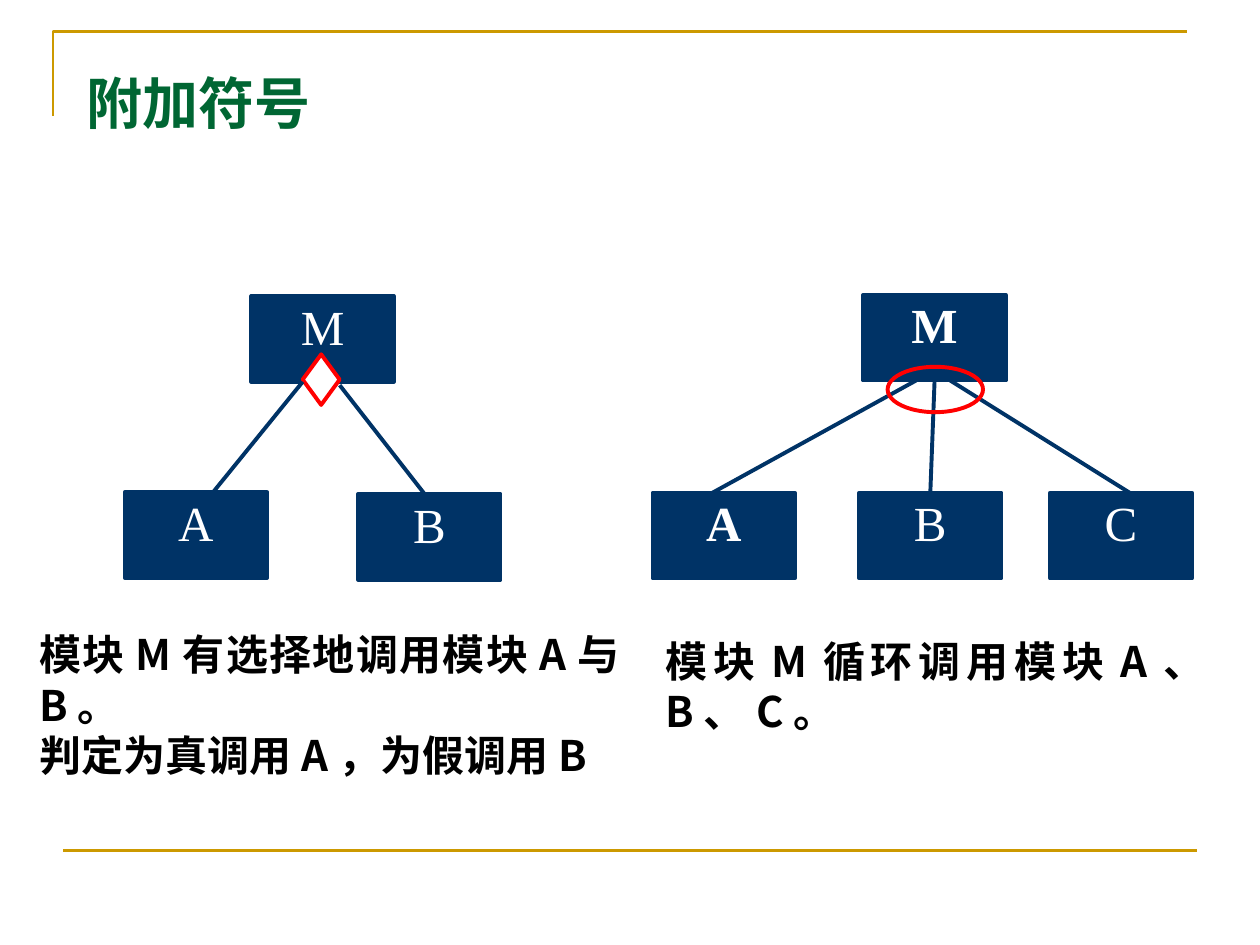
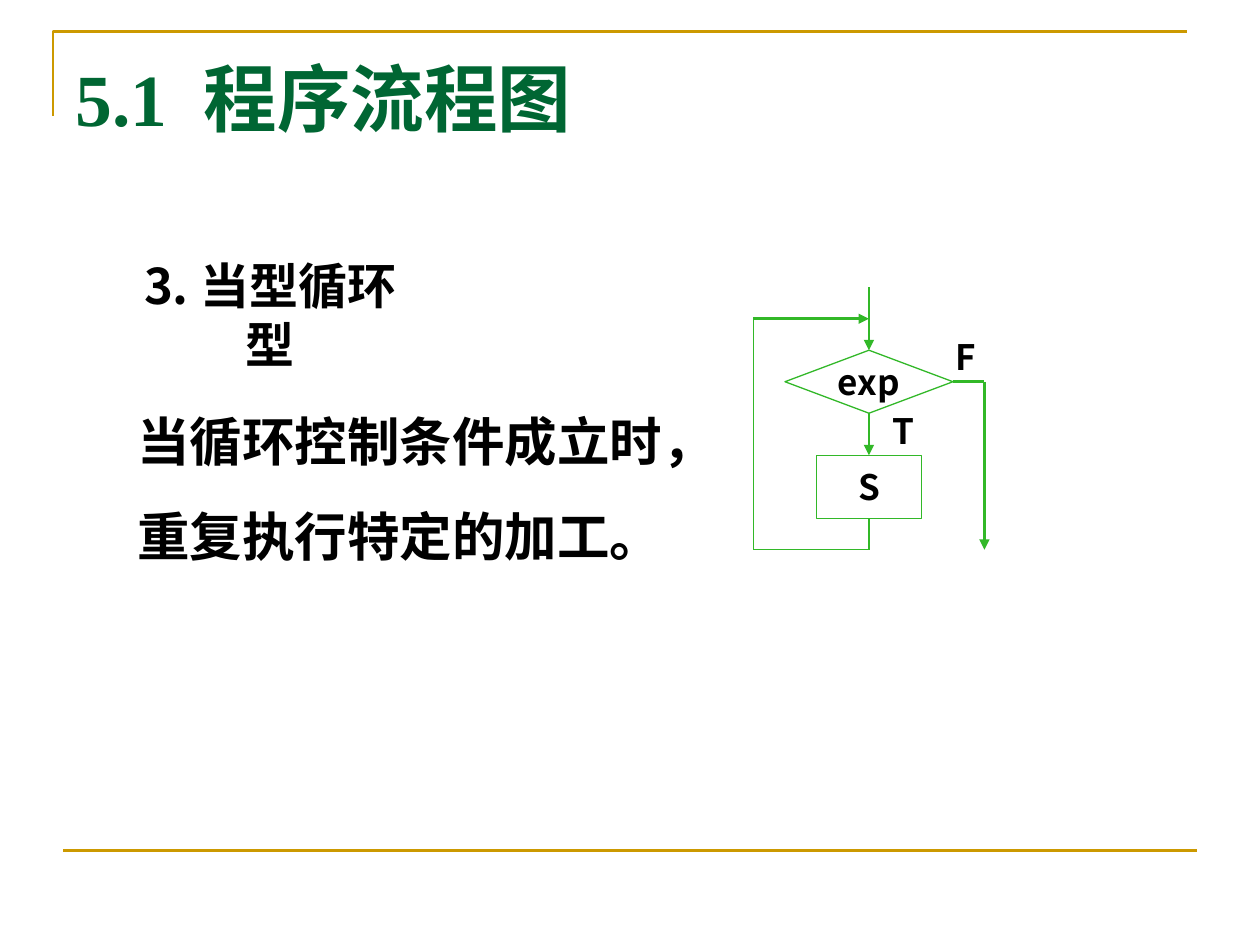
from dataclasses import dataclass

from lxml import etree
from pptx import Presentation
from pptx.dml.color import RGBColor
from pptx.enum.shapes import MSO_CONNECTOR, MSO_SHAPE
from pptx.enum.text import MSO_ANCHOR, MSO_AUTO_SIZE, PP_ALIGN
from pptx.oxml.ns import qn
from pptx.util import Inches, Pt

STRAIGHT = MSO_CONNECTOR.STRAIGHT
RECT, DECISION, ARC = MSO_SHAPE.RECTANGLE, MSO_SHAPE.FLOWCHART_DECISION, MSO_SHAPE.ARC
TOP, MIDDLE, BOTTOM = MSO_ANCHOR.TOP, MSO_ANCHOR.MIDDLE, MSO_ANCHOR.BOTTOM
LEFT, CENTER, JUSTIFY = PP_ALIGN.LEFT, PP_ALIGN.CENTER, PP_ALIGN.JUSTIFY
NO_FIT, GROW = MSO_AUTO_SIZE.NONE, MSO_AUTO_SIZE.SHAPE_TO_FIT_TEXT
SITE_TOP, SITE_BOTTOM, SITE_RIGHT = 0, 2, 3

SERIF, SANS, ARIAL = "Times New Roman", "Noto Sans CJK SC", "Arial"
GOLD, TITLE_GREEN, NAVY = "CC9900", "006633", "003366"
FLOW_GREEN, RED, WHITE, BLACK = "32B828", "FF0000", "FFFFFF", "000000"


@dataclass
class Grid:
    """Columns and rows counted from a corner; all lengths in inches."""
    left: float = 0
    top: float = 0
    col: float = 1
    row: float = 1

    def point(self, c, r):
        return Inches(self.left + c * self.col), Inches(self.top + r * self.row)

    def box(self, c, r, w, h):
        return *self.point(c, r), Inches(w * self.col), Inches(h * self.row)


PAGE = Grid()


def rgb(color):
    return RGBColor.from_string(color)


def set_line(line, color, width):
    line.color.rgb = rgb(color)
    line.width = Pt(width)


def add_arrowhead(shape, end):
    """Put a triangle at headEnd (start) or tailEnd (finish)."""
    ln = shape.line._get_or_add_ln()
    etree.SubElement(ln, qn("a:" + end), type="triangle")


def write(tf, paragraphs, size, font, color, bold=True, align=LEFT, anchor=TOP,
          inset=None, wrap=True, fit=NO_FIT, spacing=None):
    tf.word_wrap, tf.auto_size, tf.vertical_anchor = wrap, fit, anchor
    if inset is not None:
        tf.margin_left = tf.margin_right = tf.margin_top = tf.margin_bottom = inset
    for i, text in enumerate(paragraphs):
        p = tf.add_paragraph() if i else tf.paragraphs[0]
        p.alignment = align
        if spacing:
            p.line_spacing = spacing
        r = p.add_run()
        r.text = text
        r.font.size, r.font.bold, r.font.name = Pt(size), bold, font
        r.font.color.rgb = rgb(color)
        etree.SubElement(r._r.get_or_add_rPr(), qn("a:ea"), typeface=SANS)


def add_text(shapes, box, paragraphs, size, font=SANS, **style):
    tb = shapes.add_textbox(*box)
    write(tb.text_frame, paragraphs, size, font, BLACK, **style)


def add_figure(shapes, kind, box, line, width, fill=None):
    s = shapes.add_shape(kind, *box)
    s.shadow.inherit = False
    if fill:
        s.fill.solid()
        s.fill.fore_color.rgb = rgb(fill)
    else:
        s.fill.background()
    set_line(s.line, line, width)
    return s


def add_line(shapes, start, end, color, width, arrow=False, source=None, target=None):
    """source and target are (shape, connection site) pairs."""
    c = shapes.add_connector(STRAIGHT, *start, *end)
    set_line(c.line, color, width)
    etree.SubElement(c._element.spPr, qn("a:effectLst"))
    if arrow:
        add_arrowhead(c, "tailEnd")
    if source:
        c.begin_connect(*source)
    if target:
        c.end_connect(*target)
    return c


def add_frame(slide):
    """Draw the gold corner and foot line, then move them to the layout."""
    fb = slide.shapes.build_freeform(*PAGE.point(0.42, 0.92))
    fb.add_line_segments([PAGE.point(0.42, 0.25), PAGE.point(9.42, 0.25)], close=False)
    corner = fb.convert_to_shape()
    corner.shadow.inherit = False
    corner.fill.background()
    set_line(corner.line, GOLD, 1.5)
    foot = add_line(slide.shapes, PAGE.point(0.5, 6.75), PAGE.point(9.5, 6.75), GOLD, 1.5)
    for part in (corner, foot):
        slide.slide_layout.shapes.element.append(part._element)


def set_title(slide, text, size, box):
    title = slide.shapes.title
    title.left, title.top, title.width, title.height = box
    write(title.text_frame, [text], size, SERIF, TITLE_GREEN, anchor=BOTTOM)


def add_modules(shapes, grid, modules):
    """Each module, one grid cell in size, is (name, column, row, bold)."""
    placed = {}
    for name, c, r, bold in modules:
        s = add_figure(shapes, RECT, grid.box(c, r, 1, 1), NAVY, 2.25, NAVY)
        write(s.text_frame, [name], 28, SERIF, WHITE, bold, CENTER, inset=0)
        placed[name] = s
    return placed


def add_selective_call(shapes, grid):
    add_modules(shapes, grid, [("M", 0.89, 0, False), ("A", 0, 2.29, False),
                               ("B", 1.64, 2.31, False)])
    add_figure(shapes, DECISION, grid.box(1.25, 0.68, 0.26, 0.59), RED, 2.25, WHITE)
    for start, end in (((1.25, 1), (0.62, 2.29)), ((1.51, 1.04), (2.12, 2.34))):
        add_line(shapes, grid.point(*start), grid.point(*end), NAVY, 2.25)


def add_loop_call(shapes, grid):
    modules = add_modules(shapes, grid, [("M", 1.48, 0, True), ("A", 0, 2.31, True),
                                         ("B", 1.45, 2.31, False), ("C", 2.79, 2.31, False)])
    for start, end in ((1.85, 0.42), (2.09, 3.35)):
        add_line(shapes, grid.point(start, 1), grid.point(end, 2.31), NAVY, 2.25)
    add_line(shapes, grid.point(1.98, 1), grid.point(1.95, 2.31), NAVY, 2.25,
             source=(modules["M"], SITE_BOTTOM), target=(modules["B"], SITE_TOP))
    loop = add_figure(shapes, ARC, grid.box(1.65, 0.84, 0.67, 0.53), RED, 2.25)
    for i, degrees in enumerate((-22, -161)):
        loop.adjustments[i] = degrees * 0.6
    add_arrowhead(loop, "headEnd")


def add_while_flow(shapes, grid):
    def node(kind, box, text):
        s = add_figure(shapes, kind, grid.box(*box), FLOW_GREEN, 0.75, WHITE)
        write(s.text_frame, [text], 20, SANS, BLACK, align=CENTER, anchor=MIDDLE, wrap=False)
        return s

    def flow(start, end, width=1.5, **ends):
        add_line(shapes, grid.point(*start), grid.point(*end), FLOW_GREEN, width, **ends)

    test = node(DECISION, (3, 6, 16, 6), "exp")
    step = node(RECT, (6, 16, 10, 6), "S")
    flow((11, 0), (11, 6), arrow=True, target=(test, SITE_TOP))
    flow((11, 12), (11, 16), arrow=True, source=(test, SITE_BOTTOM), target=(step, SITE_TOP))
    flow((11, 22), (11, 25), source=(step, SITE_BOTTOM))
    flow((0, 25), (11, 25), 0.75)
    flow((0, 3), (0, 25), 0.75)
    flow((0, 3), (11, 3), arrow=True)
    flow((22, 9), (22, 25), arrow=True)
    flow((19, 9), (22, 9), source=(test, SITE_RIGHT))
    for label, c, r in (("F", 18.1, 4), ("T", 12.1, 11)):
        add_text(shapes, grid.box(c, r, 4, 5.2), [label], 20, align=CENTER,
                 wrap=False, fit=GROW)


def build_symbols_slide(slide):
    set_title(slide, "附加符号", 32, PAGE.box(0.59, 0.44, 9, 0.69))
    add_selective_call(slide.shapes, Grid(0.99, 2.35, 1.13, 0.68))
    add_loop_call(slide.shapes, Grid(5.18, 2.34, 1.13, 0.68))
    captions = [((0.31, 4.99, 4.69, 0.88), ["模块M有选择地调用模块A与B。", "判定为真调用A，为假调用B"]),
                ((5.28, 5.04, 4.37, 0.84), ["模块M循环调用模块A、B、C。"])]
    for box, paragraphs in captions:
        add_text(slide.shapes, PAGE.box(*box), paragraphs, 24, align=JUSTIFY, inset=0)


def build_while_slide(slide):
    set_title(slide, "5.1 程序流程图", 42, PAGE.box(0.5, 0.39, 9, 0.78))
    add_text(slide.shapes, PAGE.box(0.87, 1.98, 2.55, 0.57), ["3.当型循环型"], 28,
             align=CENTER, fit=GROW)
    add_text(slide.shapes, PAGE.box(0.99, 2.95, 4.88, 1.61),
             ["当循环控制条件成立时，重复执行特定的加工。"], 30, ARIAL, fit=GROW, spacing=1.5)
    add_while_flow(slide.shapes.add_group_shape().shapes, Grid(5.98, 2.28, 1 / 12, 1 / 12))


def main():
    prs = Presentation()
    prs.slide_width, prs.slide_height = Inches(10), Inches(7.5)
    title_only = prs.slide_layouts[5]
    slides = [prs.slides.add_slide(title_only) for _ in range(2)]
    add_frame(slides[0])
    build_symbols_slide(slides[0])
    build_while_slide(slides[1])
    prs.save("out.pptx")


if __name__ == "__main__":
    main()
